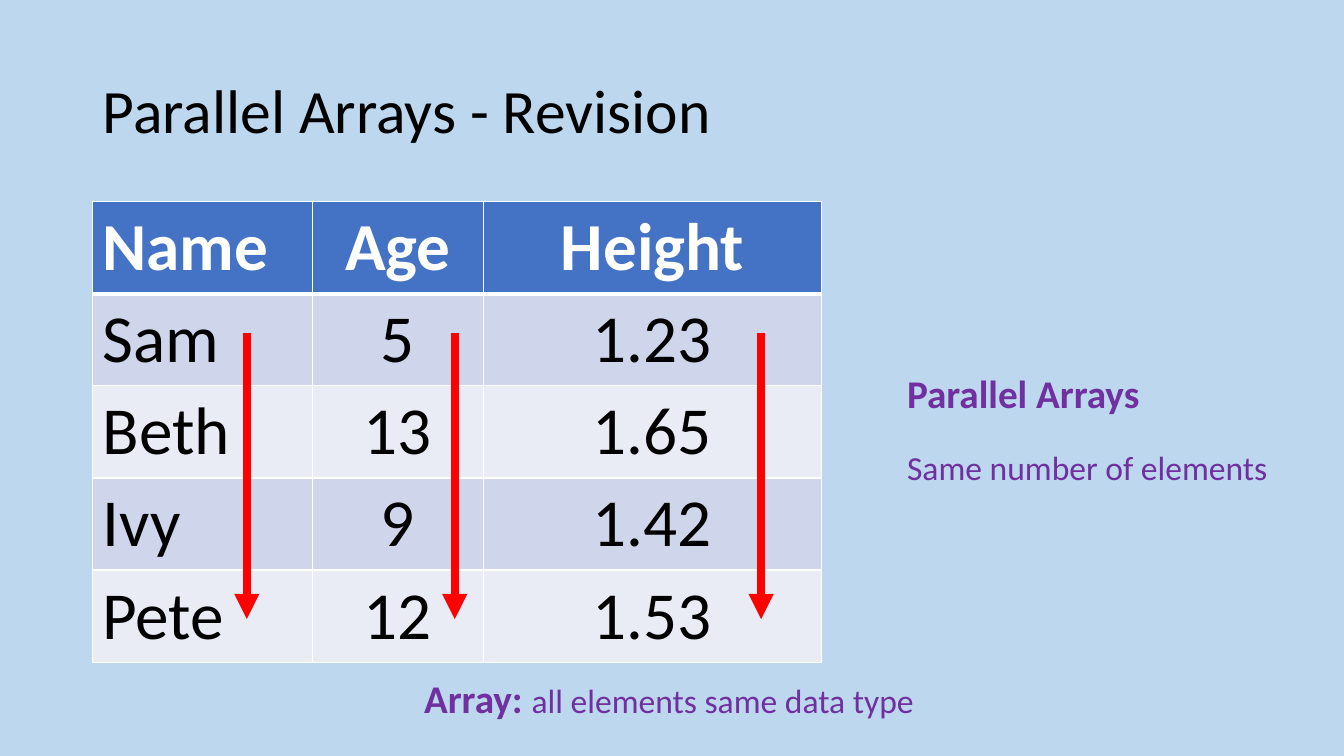
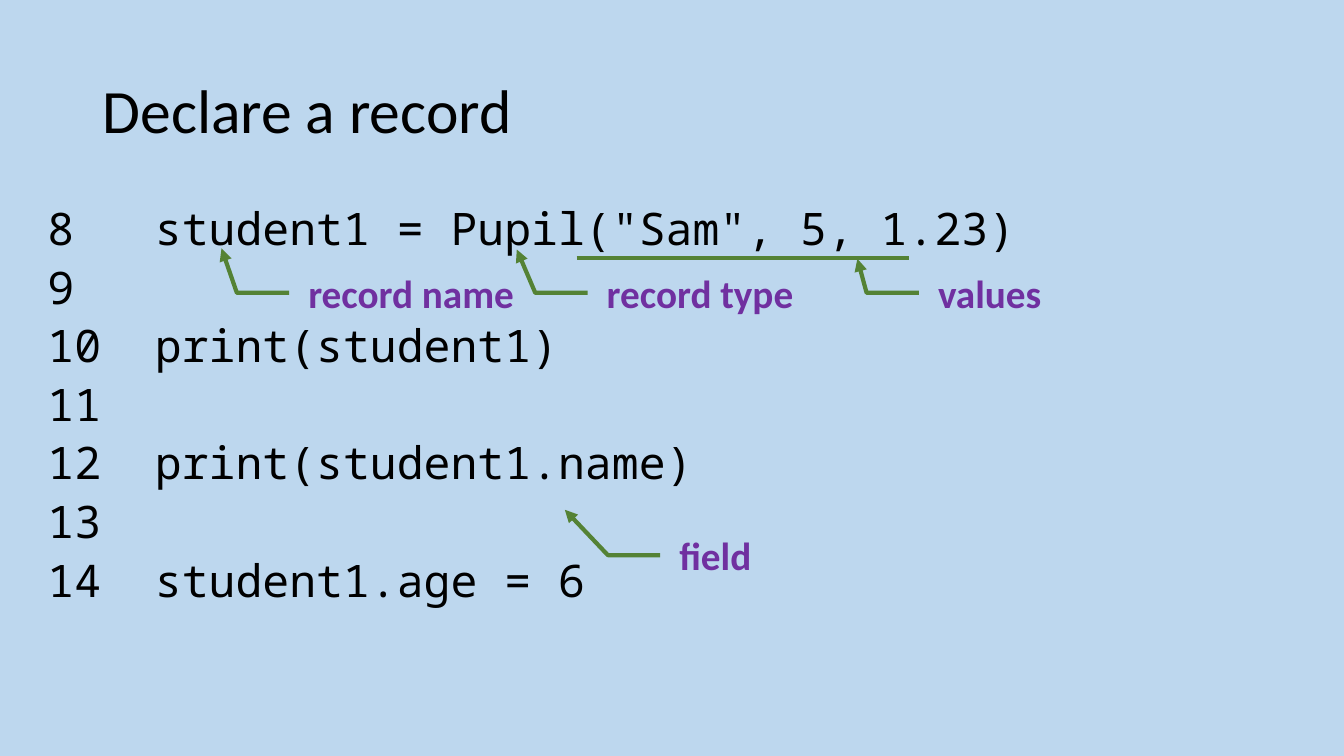
from lxml import etree
from pptx import Presentation
from pptx.dml.color import RGBColor
from pptx.enum.shapes import MSO_CONNECTOR, MSO_SHAPE
from pptx.enum.text import MSO_ANCHOR, MSO_AUTO_SIZE, PP_ALIGN
from pptx.oxml.ns import qn
from pptx.util import Cm, Pt

SKY = RGBColor(0xBD, 0xD7, 0xEE)
BLACK = RGBColor(0, 0, 0)
WHITE = RGBColor(0xFF, 0xFF, 0xFF)
BLUE = RGBColor(0x44, 0x72, 0xC4)
BAND_DARK = RGBColor(0xCF, 0xD5, 0xEA)
BAND_LIGHT = RGBColor(0xE9, 0xEB, 0xF5)
RED = RGBColor(0xFF, 0, 0)
PURPLE = RGBColor(0x70, 0x30, 0xA0)
GREEN = RGBColor(0x54, 0x82, 0x35)

SANS = "Calibri"
MONO = "Noto Sans Mono"

LEFT, CENTER = PP_ALIGN.LEFT, PP_ALIGN.CENTER
MIDDLE = MSO_ANCHOR.MIDDLE
STRAIGHT = MSO_CONNECTOR.STRAIGHT
CALLOUT = MSO_SHAPE.LINE_CALLOUT_2_NO_BORDER

TITLE_AND_BODY, TITLE_ONLY = 1, 5


def place(sp, left, top, width, height):
    sp.left, sp.top, sp.width, sp.height = Cm(left), Cm(top), Cm(width), Cm(height)


def add_run(p, text, size, color, bold=False, font=SANS):
    r = p.add_run()
    r.text = text
    r.font.size = Pt(size)
    r.font.name = font
    r.font.bold = bold
    r.font.color.rgb = color


def add_slide(prs, layout, title):
    s = prs.slides.add_slide(prs.slide_layouts[layout])
    sp = s.shapes.title
    place(sp, 2.33, 1.01, 29.21, 3.68)
    tf = sp.text_frame
    tf.auto_size = MSO_AUTO_SIZE.NONE
    tf.vertical_anchor = MIDDLE
    p = tf.paragraphs[0]
    p.alignment = LEFT
    p.line_spacing = 0.9
    add_run(p, title, 44, BLACK)
    return s


def set_line(sp, color, width, arrow=False):
    sp.line.color.rgb = color
    sp.line.width = Pt(width)
    if arrow:
        ln = sp.element.spPr.find(qn("a:ln"))
        etree.SubElement(ln, qn("a:tailEnd"), type="triangle")


def add_line(shapes, start, end, color, width, arrow=False):
    cxn = shapes.add_connector(STRAIGHT, *(Cm(v) for v in start + end))
    set_line(cxn, color, width, arrow)
    etree.SubElement(cxn.element.spPr, qn("a:effectLst"))


def add_callout(shapes, text, left, top, tip):
    """Add a label whose bent leader ends at tip, (y, x) as shares of its size."""
    sp = shapes.add_shape(CALLOUT, Cm(left), Cm(top), Cm(7.75), Cm(1.3))
    for i, value in enumerate((0.5, -0.03, 0.5, -0.2) + tip):
        sp.adjustments[i] = value
    sp.fill.background()
    sp.shadow.inherit = False
    set_line(sp, GREEN, 3, arrow=True)
    tf = sp.text_frame
    tf.vertical_anchor = MIDDLE
    p = tf.paragraphs[0]
    p.alignment = LEFT
    add_run(p, text, 28, PURPLE, bold=True)


def add_note(s, left, top, width, height, paragraphs):
    """Add a text box; each paragraph is a list of (text, size, bold) runs."""
    tf = s.shapes.add_textbox(Cm(left), Cm(top), Cm(width), Cm(height)).text_frame
    tf.word_wrap = False
    tf.auto_size = MSO_AUTO_SIZE.SHAPE_TO_FIT_TEXT
    for i, runs in enumerate(paragraphs):
        p = tf.add_paragraph() if i else tf.paragraphs[0]
        p.space_before = Pt(22 if i else 0)
        for text, size, bold in runs:
            add_run(p, text, size, PURPLE, bold)


def set_borders(cell, top, bottom):
    tc_pr = cell._tc.get_or_add_tcPr()
    for tag, width in (("lnL", 1), ("lnR", 1), ("lnT", top), ("lnB", bottom)):
        ln = etree.SubElement(tc_pr, qn(f"a:{tag}"), w=str(Pt(width)))
        fill = etree.SubElement(ln, qn("a:solidFill"))
        etree.SubElement(fill, qn("a:srgbClr"), val=str(WHITE))


def add_data_table(s, left, top, widths, row_height, rows):
    table = s.shapes.add_table(len(rows), len(widths), Cm(left), Cm(top),
                               Cm(sum(widths)), Cm(row_height * len(rows))).table
    for column, width in zip(table.columns, widths):
        column.width = Cm(width)
    for i, row in enumerate(rows):
        header = i == 0
        table.rows[i].height = Cm(row_height)
        for j, text in enumerate(row):
            cell = table.cell(i, j)
            set_borders(cell, 3 if i == 1 else 1, 3 if header else 1)
            cell.fill.solid()
            band = BAND_DARK if i % 2 else BAND_LIGHT
            cell.fill.fore_color.rgb = BLUE if header else band
            p = cell.text_frame.paragraphs[0]
            p.alignment = CENTER if j else LEFT
            add_run(p, text, 48, WHITE if header else BLACK, header)


def fill_code(sp, first_number, lines):
    """Write numbered code lines, with the code on a hanging indent."""
    tf = sp.text_frame
    tf.auto_size = MSO_AUTO_SIZE.NONE
    indent = Cm(2.71)
    for i, line in enumerate(lines):
        p = tf.add_paragraph() if i else tf.paragraphs[0]
        p.line_spacing = 0.9
        p.space_before = Pt(0)
        p.space_after = Pt(7.3)
        p_pr = p._p.get_or_add_pPr()
        p_pr.set("marL", str(indent))
        p_pr.set("indent", str(-indent))
        etree.SubElement(p_pr, qn("a:buNone"))
        number = str(first_number + i)
        add_run(p, f"{number}\t{line}" if line else number, 32, BLACK, font=MONO)


def build_arrays_slide(prs):
    s = add_slide(prs, TITLE_ONLY, "Parallel Arrays - Revision")
    add_data_table(s, 2.33, 5.08, (5.54, 4.32, 8.51), 2.29, [
        ("Name", "Age", "Height"),
        ("Sam", "5", "1.23"),
        ("Beth", "13", "1.65"),
        ("Ivy", "9", "1.42"),
        ("Pete", "12", "1.53"),
    ])
    for x in (6.22, 11.46, 19.18):
        add_line(s.shapes, (x, 8.38), (x, 15.6), RED, 6, arrow=True)
    add_note(s, 22.61, 9.17, 9.68, 3.25, [
        [("Parallel Arrays", 28, True)],
        [("Same number of elements", 24, False)],
    ])
    add_note(s, 10.44, 16.87, 12.98, 1.45, [
        [("Array: ", 28, True), ("all elements same data type", 24, False)],
    ])


def build_record_slide(prs):
    s = add_slide(prs, TITLE_AND_BODY, "Declare a record")
    body = s.placeholders[1]
    place(body, 0.94, 5.08, 32.31, 13.31)
    fill_code(body, 8, [
        'student1 = Pupil("Sam", 5, 1.23)',
        "",
        "print(student1)",
        "",
        "print(student1.name)",
        "",
        "student1.age = 6",
    ])
    add_callout(s.shapes, "record name", 7.52, 6.73, (-0.36, -0.25))
    add_callout(s.shapes, "field", 16.87, 13.34, (-0.38, -0.34))
    add_callout(s.shapes, "record type", 15.04, 6.73, (-0.34, -0.26))
    values = s.shapes.add_group_shape().shapes
    add_callout(values, "values", 23.39, 6.73, (-0.16, -0.23))
    add_line(values, (14.53, 6.5), (22.91, 6.5), GREEN, 3)


def main():
    prs = Presentation()
    prs.slide_width, prs.slide_height = Cm(33.87), Cm(19.05)
    background = prs.slide_master.background.fill
    background.solid()
    background.fore_color.rgb = SKY
    build_arrays_slide(prs)
    build_record_slide(prs)
    prs.save("out.pptx")


if __name__ == "__main__":
    main()
